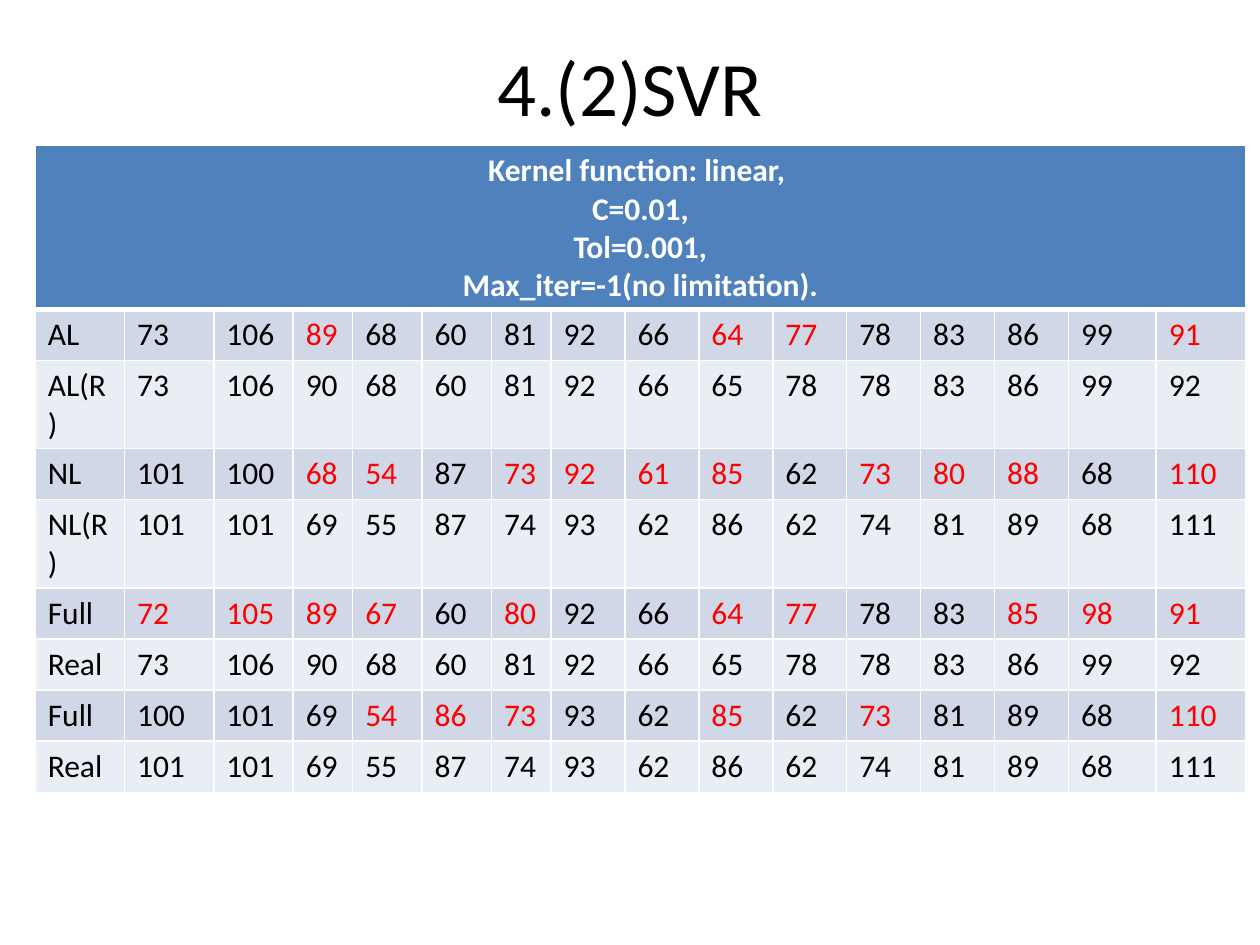
from dataclasses import dataclass

from lxml import etree
from pptx import Presentation
from pptx.dml.color import RGBColor
from pptx.enum import text
from pptx.oxml import ns
from pptx.util import Cm, Pt


@dataclass(frozen=True)
class Theme:
    font: str = "Calibri"
    title_size: float = 44
    table_size: float = 18
    ink: str = "000000"
    paper: str = "FFFFFF"
    header: str = "4F81BD"
    bands: tuple = ("D0D8E8", "E9EDF4")
    miss: str = "FF0000"
    rule: float = 1
    header_rule: float = 3


THEME = Theme()

TITLE = "4.(2)SVR"
SETTINGS = ("Kernel function: linear, ", "C=0.01,", "Tol=0.001,",
            "Max_iter=-1(no limitation).")
# Each prediction row is followed by the row of real values it is checked against.
RESULTS = [
    ("AL", 73, 106, 89, 68, 60, 81, 92, 66, 64, 77, 78, 83, 86, 99, 91),
    ("AL(R)", 73, 106, 90, 68, 60, 81, 92, 66, 65, 78, 78, 83, 86, 99, 92),
    ("NL", 101, 100, 68, 54, 87, 73, 92, 61, 85, 62, 73, 80, 88, 68, 110),
    ("NL(R)", 101, 101, 69, 55, 87, 74, 93, 62, 86, 62, 74, 81, 89, 68, 111),
    ("Full", 72, 105, 89, 67, 60, 80, 92, 66, 64, 77, 78, 83, 85, 98, 91),
    ("Real", 73, 106, 90, 68, 60, 81, 92, 66, 65, 78, 78, 83, 86, 99, 92),
    ("Full", 100, 101, 69, 54, 86, 73, 93, 62, 85, 62, 73, 81, 89, 68, 110),
    ("Real", 101, 101, 69, 55, 87, 74, 93, 62, 86, 62, 74, 81, 89, 68, 111),
]
UNMARKED = {(2, 2), (6, 1)}  # misses that stay black
COLUMNS = [1.8, 1.8, 1.6, 1.2, 1.4, 1.4, 1.2] + [1.49] * 7 + [1.77, 1.8]
ROW_HEIGHT = 1.03


def write(frame, lines, size, color, bold=False, align=text.PP_ALIGN.LEFT):
    for index, line in enumerate(lines):
        para = frame.paragraphs[0] if index == 0 else frame.add_paragraph()
        para.alignment = align
        span = para.add_run()
        span.text = line
        style = {"name": THEME.font, "size": Pt(size), "bold": bold}
        for name, value in style.items():
            setattr(span.font, name, value)
        span.font.color.rgb = RGBColor.from_string(color)


def paint(cell, fill, top=THEME.rule, bottom=THEME.rule):
    """Fill a cell and rule its four sides."""
    cell.fill.solid()
    cell.fill.fore_color.rgb = RGBColor.from_string(fill)
    properties = cell._tc.get_or_add_tcPr()
    sides = {"lnL": THEME.rule, "lnR": THEME.rule, "lnT": top, "lnB": bottom}
    for index, (side, width) in enumerate(sides.items()):
        line = etree.Element(ns.qn(f"a:{side}"), w=str(Pt(width)))
        solid = etree.SubElement(line, ns.qn("a:solidFill"))
        etree.SubElement(solid, ns.qn("a:srgbClr"), val=THEME.paper)
        properties.insert(index, line)


def add_title(page, left, top, width, height):
    box = page.shapes.add_textbox(Cm(left), Cm(top), Cm(width), Cm(height))
    box.text_frame.word_wrap = True
    box.text_frame.vertical_anchor = text.MSO_ANCHOR.MIDDLE
    write(box.text_frame, [TITLE], THEME.title_size, THEME.ink,
          align=text.PP_ALIGN.CENTER)


def is_miss(row, column):
    """Tell whether a prediction differs from the real value below it."""
    return (row % 2 == 0 and column > 0 and (row, column) not in UNMARKED
            and RESULTS[row][column] != RESULTS[row + 1][column])


def add_results(page, left, top):
    rows = len(RESULTS) + 1
    table = page.shapes.add_table(
        rows, len(COLUMNS), Cm(left), Cm(top),
        Cm(sum(COLUMNS)), Cm(rows * ROW_HEIGHT)).table
    for column, width in zip(table.columns, COLUMNS):
        column.width = Cm(width)
    for row in table.rows:
        row.height = Cm(ROW_HEIGHT)

    header = table.cell(0, 0)
    header.merge(table.cell(0, len(COLUMNS) - 1))
    for cell in table.rows[0].cells:
        paint(cell, THEME.header, bottom=THEME.header_rule)
    write(header.text_frame, SETTINGS, THEME.table_size, THEME.paper,
          bold=True, align=text.PP_ALIGN.CENTER)

    for row, values in enumerate(RESULTS):
        rule = THEME.rule if row else THEME.header_rule
        for column, value in enumerate(values):
            cell = table.cell(row + 1, column)
            paint(cell, THEME.bands[row % 2], top=rule)
            color = THEME.miss if is_miss(row, column) else THEME.ink
            write(cell.text_frame, [str(value)], THEME.table_size, color)


def main():
    deck = Presentation()
    deck.slide_width, deck.slide_height = Cm(25.4), Cm(19.05)
    page = deck.slides.add_slide(deck.slide_layouts[6])
    add_title(page, 1.27, 0.13, 22.86, 3.18)
    add_results(page, 0.71, 2.93)
    deck.save("out.pptx")


if __name__ == "__main__":
    main()
